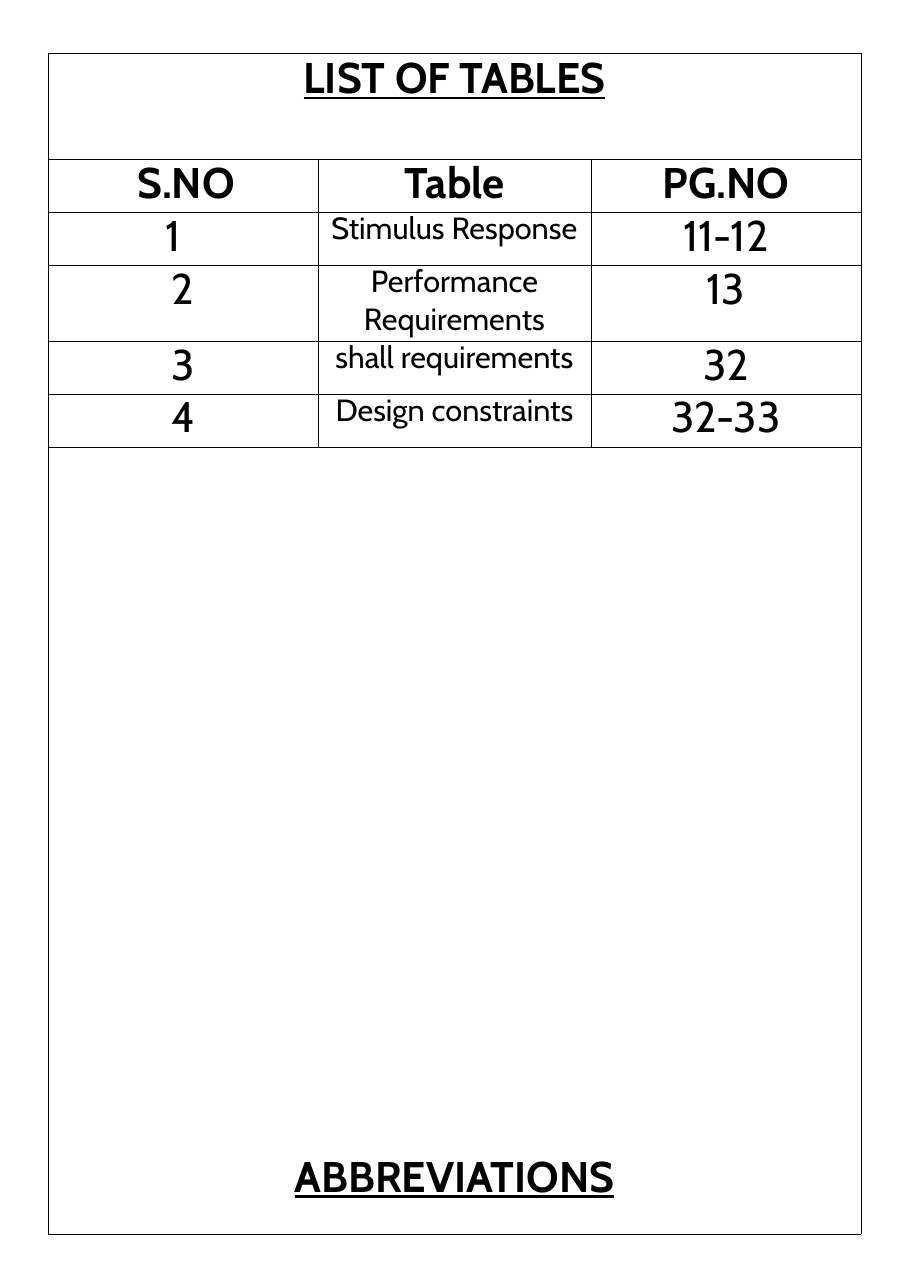
import pptx
import pptx.dml.color
import pptx.enum.text
import pptx.util
from lxml import etree

PX = 8298  # EMU per pixel
BLACK = pptx.dml.color.RGBColor(0, 0, 0)
FONT = "Cabin"
LARGE, SMALL = 28, 20
LINE_HEIGHTS = {LARGE: 32.5, SMALL: 23.2}
DRAWING_NS = "http://schemas.openxmlformats.org/drawingml/2006/main"

COLUMN_WIDTHS = [270, 273, 270]
ROW_HEIGHTS = [106, 53, 53, 76, 53, 53, 787]
HEADINGS = ["S.NO", "Table", "PG.NO"]
ENTRIES = [
    ("1", "Stimulus Response", "11-12"),
    ("2", "Performance\nRequirements", "13"),
    ("3", "shall requirements", "32"),
    ("4", "Design constraints", "32-33"),
]


def add_borders(cell):
    properties = cell._tc.get_or_add_tcPr()
    for side in ("lnL", "lnR", "lnT", "lnB"):
        border = etree.SubElement(properties, f"{{{DRAWING_NS}}}{side}", w="6350")
        fill = etree.SubElement(border, f"{{{DRAWING_NS}}}solidFill")
        etree.SubElement(fill, f"{{{DRAWING_NS}}}srgbClr", val=str(BLACK))


def write_cell(cell, text, size=LARGE, bold=False, underline=False, line_height=None):
    for index, line in enumerate(text.split("\n")):
        frame = cell.text_frame
        paragraph = frame.add_paragraph() if index else frame.paragraphs[0]
        paragraph.alignment = pptx.enum.text.PP_ALIGN.CENTER
        if line_height and index == 0:
            paragraph.line_spacing = pptx.util.Pt(line_height)
        run = paragraph.add_run()
        run.text = line
        run.font.name = FONT
        run.font.size = pptx.util.Pt(size)
        run.font.bold = bold
        run.font.underline = underline
        run.font.color.rgb = BLACK


presentation = pptx.Presentation()
presentation.slide_width = 910 * PX
presentation.slide_height = 1288 * PX
slide = presentation.slides.add_slide(presentation.slide_layouts[6])

contents = slide.shapes.add_table(
    len(ROW_HEIGHTS), len(COLUMN_WIDTHS), 48 * PX, 53 * PX,
    sum(COLUMN_WIDTHS) * PX, sum(ROW_HEIGHTS) * PX,
).table
contents.first_row = False
contents.horz_banding = False
for column, width in zip(contents.columns, COLUMN_WIDTHS):
    column.width = width * PX
for row, height in zip(contents.rows, ROW_HEIGHTS):
    row.height = height * PX

for cell in contents.iter_cells():
    cell.margin_left = cell.margin_right = cell.margin_top = cell.margin_bottom = 0
    add_borders(cell)
    cell.fill.background()

last_row = len(ROW_HEIGHTS) - 1
for row_index in (0, last_row):
    contents.cell(row_index, 0).merge(contents.cell(row_index, 2))

write_cell(contents.cell(0, 0), "LIST OF TABLES", bold=True, underline=True, line_height=33.5)

for column_index, heading in enumerate(HEADINGS):
    write_cell(contents.cell(1, column_index), heading, bold=True,
               line_height=LINE_HEIGHTS[LARGE])
contents.cell(1, 0).margin_left = 6 * PX

for row_index, entry in enumerate(ENTRIES, start=2):
    for column_index, text in enumerate(entry):
        size = SMALL if column_index == 1 else LARGE
        write_cell(contents.cell(row_index, column_index), text, size,
                   line_height=LINE_HEIGHTS[size])
contents.cell(2, 0).margin_right = 20 * PX

abbreviations = contents.cell(last_row, 0)
abbreviations.vertical_anchor = pptx.enum.text.MSO_ANCHOR.BOTTOM
abbreviations.margin_bottom = 31 * PX
write_cell(abbreviations, "ABBREVIATIONS", bold=True, underline=True)

presentation.save("out.pptx")
